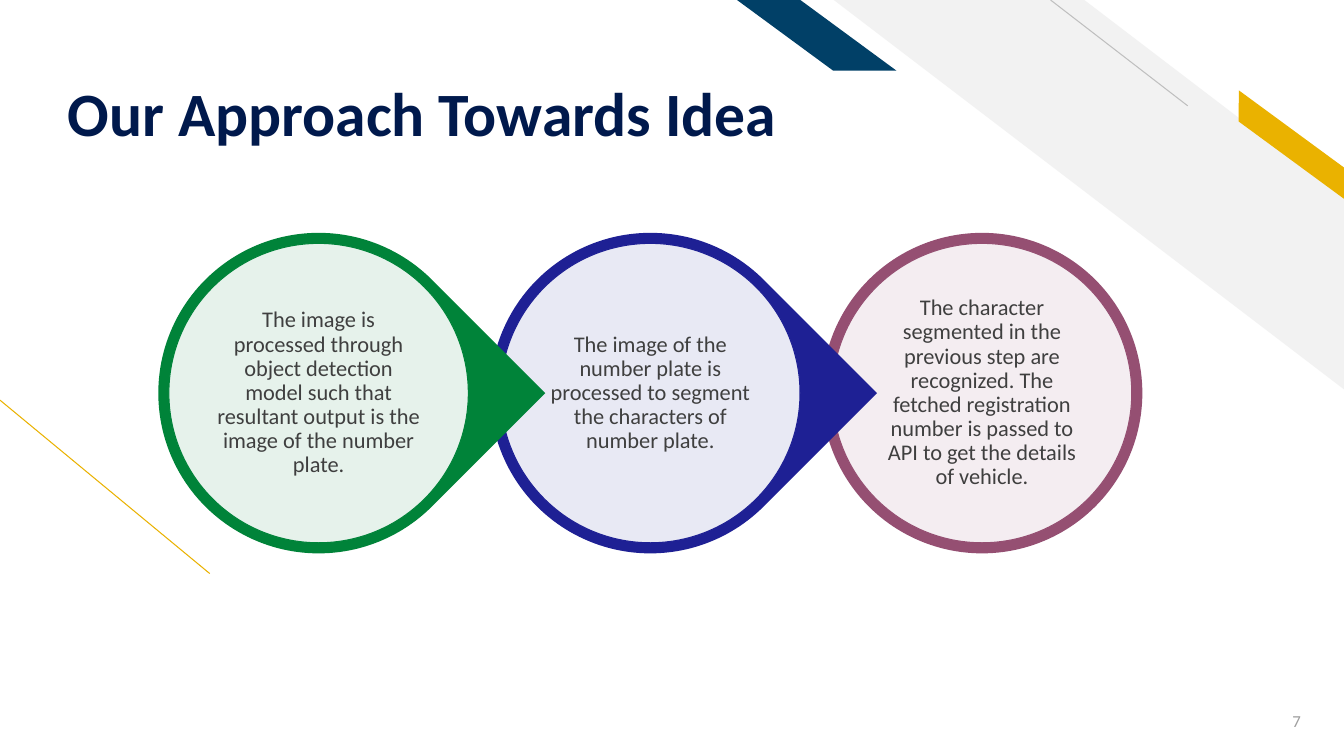
from dataclasses import dataclass

from pptx import Presentation
from pptx import util as u
from pptx.dml.color import RGBColor
from pptx.enum import shapes, text
from pptx.oxml.ns import qn
from lxml import etree


@dataclass(frozen=True)
class Theme:
    font: str = "Calibri"
    title_size: float = 44
    step_size: float = 16
    number_size: float = 12
    hairline: float = 0.75
    navy: str = "00194C"
    body: str = "3F3F3F"
    muted: str = "9E9E9E"
    band: str = "F2F2F2"
    rule: str = "BFBFBF"
    gold: str = "EAB200"
    teal: str = "014067"
    white: str = "FFFFFF"
    step_colours: tuple = ("008339", "1E2094", "954F72")


THEME = Theme()
STEPS = (
    "The image is processed through object detection model such that "
    "resultant output is the image of the number plate.",
    "The image of the number plate is processed to segment the characters "
    "of number plate.",
    "The character segmented in the previous step are recognized. The fetched "
    "registration number is passed to API to get the details of vehicle.",
)
FIRST_CENTRE, STEP_PITCH, CENTRE_Y = 3.16, 3.29, 3.9
RING, DISC, CAPTION = 3.18, 2.97, 2.12


def rgb(colour):
    return RGBColor.from_string(colour)


def inches(*lengths):
    return [u.Inches(length) for length in lengths]


def square(centre_x, side):
    return centre_x - side / 2, CENTRE_Y - side / 2, side, side


def add_filled(slide, preset, box, colour, adjust=None, rotation=0, outline=None):
    shape = slide.shapes.add_shape(preset, *inches(*box))
    shape.shadow.inherit = False
    shape.fill.solid()
    shape.fill.fore_color.rgb = rgb(colour)
    shape.rotation = rotation
    if adjust is not None:
        shape.adjustments[0] = adjust
    if outline:
        shape.line.color.rgb = rgb(outline)
        shape.line.width = u.Pt(THEME.hairline)
    else:
        shape.line.fill.background()
    return shape


def flip_horizontally(shape):
    shape._element.spPr.find(qn("a:xfrm")).set("flipH", "1")


def set_opacity(shape, percent):
    colour = shape._element.spPr.find(qn("a:solidFill"))[0]
    etree.SubElement(colour, qn("a:alpha")).set("val", str(percent * 1000))


def add_rule(slide, start, end, colour):
    rule = slide.shapes.add_connector(
        shapes.MSO_CONNECTOR.STRAIGHT, *inches(*start, *end))
    rule.line.color.rgb = rgb(colour)
    rule.line.width = u.Pt(THEME.hairline)
    etree.SubElement(rule._element.spPr, qn("a:effectLst"))


def write(shape, words, size, colour, align, anchor, insets, spacing=1.0, bold=False):
    frame = shape.text_frame
    frame.text = words
    frame.word_wrap = True
    frame.auto_size = text.MSO_AUTO_SIZE.NONE
    frame.vertical_anchor = anchor
    (frame.margin_left, frame.margin_top,
     frame.margin_right, frame.margin_bottom) = inches(*insets)
    paragraph = frame.paragraphs[0]
    paragraph.alignment = align
    paragraph.line_spacing = spacing
    font = paragraph.runs[0].font
    font.name, font.size, font.bold = THEME.font, u.Pt(size), bold
    font.color.rgb = rgb(colour)


def add_decoration(slide):
    preset = shapes.MSO_SHAPE
    add_rule(slide, (2.08, 5.69), (0, 3.97), THEME.gold)
    flip_horizontally(add_filled(
        slide, preset.DIAGONAL_STRIPE, (8.27, 0, 5.07, 3.87), THEME.band, 0.51))
    add_rule(slide, (11.78, 1.05), (10.42, 0), THEME.rule)
    flip_horizontally(add_filled(
        slide, preset.PARALLELOGRAM, (12.07, 1.31, 1.48, 0.25), THEME.gold, 0.72, 36.3))
    flip_horizontally(add_filled(
        slide, preset.PARALLELOGRAM, (7.31, 0, 1.58, 0.7), THEME.teal, 1.36))


def add_title(slide):
    title = slide.shapes.title
    title.left, title.top, title.width, title.height = inches(0.57, 0.23, 9.11, 1.26)
    write(title, "Our Approach Towards Idea", THEME.title_size, THEME.navy,
          text.PP_ALIGN.LEFT, text.MSO_ANCHOR.BOTTOM, (0.1, 0.05, 0.1, 0), 0.9, True)


def add_page_number(slide):
    number = slide.shapes.add_textbox(*inches(12.19, 6.95, 0.81, 0.4))
    write(number, "7", THEME.number_size, THEME.muted, text.PP_ALIGN.RIGHT,
          text.MSO_ANCHOR.MIDDLE, (0.1, 0.05, 0.1, 0.05))


def add_step(slide, index):
    """Draw a ring with its pale disc and caption; all but the last ring point right."""
    centre_x = FIRST_CENTRE + index * STEP_PITCH
    colour = THEME.step_colours[index]
    preset = shapes.MSO_SHAPE
    if index == len(STEPS) - 1:
        add_filled(slide, preset.OVAL, square(centre_x, RING), colour)
    else:
        add_filled(slide, preset.TEAR, square(centre_x, RING), colour, 1, 45)
    disc = add_filled(slide, preset.OVAL, square(centre_x, DISC), THEME.white,
                      outline=colour)
    set_opacity(disc, 90)
    caption = slide.shapes.add_textbox(*inches(*square(centre_x, CAPTION)))
    write(caption, STEPS[index], THEME.step_size, THEME.body, text.PP_ALIGN.CENTER,
          text.MSO_ANCHOR.MIDDLE, (0.02,) * 4, 0.9)


def main():
    deck = Presentation()
    deck.slide_width, deck.slide_height = inches(13.33, 7.5)
    slide = deck.slides.add_slide(deck.slide_layouts.get_by_name("Title Only"))
    add_decoration(slide)
    add_title(slide)
    add_page_number(slide)
    # Each tip overlaps the next ring, so the last step goes to the back.
    for index in reversed(range(len(STEPS))):
        add_step(slide, index)
    deck.save("out.pptx")


if __name__ == "__main__":
    main()
